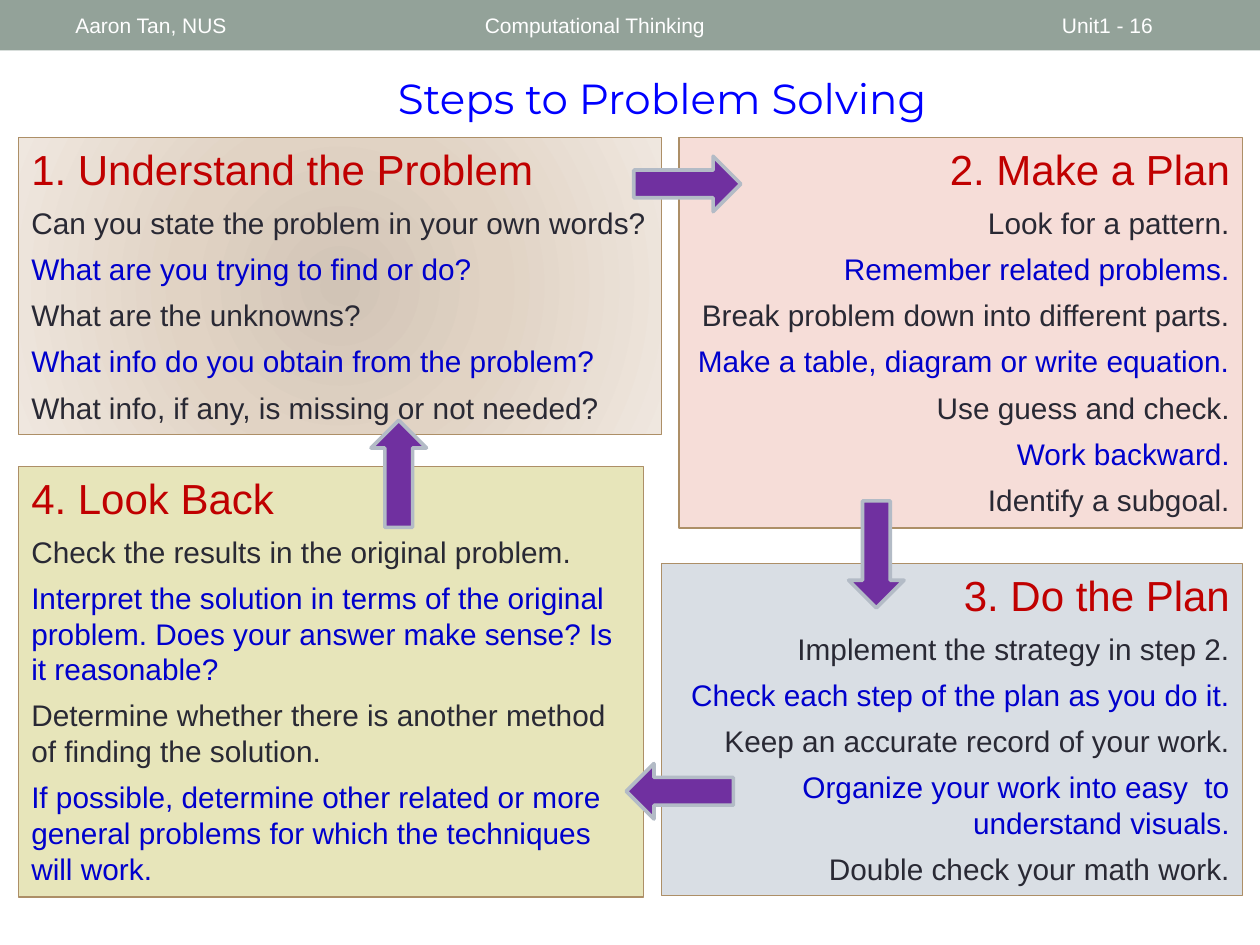
from pptx import Presentation
from pptx.dml.color import RGBColor
from pptx.enum.shapes import MSO_SHAPE
from pptx.enum.text import MSO_ANCHOR, MSO_AUTO_SIZE, PP_ALIGN
from pptx.oxml import parse_xml
from pptx.oxml.ns import nsdecls
from pptx.util import Inches, Pt

RECT, ARROW = MSO_SHAPE.RECTANGLE, MSO_SHAPE.RIGHT_ARROW
TOP, MIDDLE = MSO_ANCHOR.TOP, MSO_ANCHOR.MIDDLE
LEFT, CENTER, RIGHT = PP_ALIGN.LEFT, PP_ALIGN.CENTER, PP_ALIGN.RIGHT
GROW = MSO_AUTO_SIZE.SHAPE_TO_FIT_TEXT

THEME = {
    "bar": "93A299", "white": "FFFFFF", "title": "0000FF",
    "head": "C00000", "dark": "292934", "blue": "0000CC",
    "edge": "AD8F67", "arrow": "7030A0", "rim": "B3BBC6",
    "pink": "F6DDD8", "gray": "D9DEE4", "green": "E7E5BA",
    "glow": [(0, "D1C4B6"), (45, "E1D3C4"), (100, "EFE7DF")],
    "body": "Arial", "display": "Montserrat",
    "small": 12, "text": 17, "large": 24,
}


def add_box(kind, place, fill, line=None, width=0.75):
    box = slide.shapes.add_shape(kind, *map(Inches, place))
    box.shadow.inherit = False
    box.fill.solid()
    box.fill.fore_color.rgb = RGBColor.from_string(THEME[fill])
    if line:
        box.line.color.rgb = RGBColor.from_string(THEME[line])
        box.line.width = Pt(width)
    else:
        box.line.fill.background()
    return box


def set_text(para, text, size, color, align=LEFT, face="body"):
    para.text = text
    para.alignment = align
    para.font.name = THEME[face]
    para.font.size = Pt(THEME[size])
    para.font.color.rgb = RGBColor.from_string(THEME[color])


deck = Presentation()
deck.slide_width, deck.slide_height = Inches(10), Inches(7.5)
slide = deck.slides.add_slide(deck.slide_layouts[6])

add_box(RECT, (0, 0, 10, 0.4), "bar")
for left, width, text in [
    (3.75, 4.5, "Computational Thinking"),
    (8.33, 1.17, "Unit1 - 16"),
    (0.5, 3.17, "Aaron Tan, NUS"),
]:
    label = slide.shapes.add_textbox(Inches(left), Inches(0.02), Inches(width), Inches(0.36))
    frame = label.text_frame
    frame.word_wrap = True
    frame.vertical_anchor = MIDDLE
    set_text(frame.paragraphs[0], text, "small", "white")

panels = [
    ((0.15, 1.09, 5.1, 2.36), None, LEFT, [
        "1. Understand the Problem",
        "Can you state the problem in your own words?",
        "What are you trying to find or do?",
        "What are the unknowns?",
        "What info do you obtain from the problem?",
        "What info, if any, is missing or not needed?",
    ]),
    ((5.39, 1.09, 4.47, 3.1), "pink", RIGHT, [
        "2. Make a Plan",
        "Look for a pattern.",
        "Remember related problems.",
        "Break problem down into different parts.",
        "Make a table, diagram or write equation.",
        "Use guess and check.",
        "Work backward.",
        "Identify a subgoal.",
    ]),
    ((5.25, 4.47, 4.61, 2.64), "gray", RIGHT, [
        "3. Do the Plan",
        "Implement the strategy in step 2.",
        "Check each step of the plan as you do it.",
        "Keep an accurate record of your work.",
        "Organize your work into easy  to understand visuals.",
        "Double check your math work.",
    ]),
    ((0.15, 3.7, 4.96, 3.42), "green", LEFT, [
        "4. Look Back",
        "Check the results in the original problem.",
        "Interpret the solution in terms of the original problem. "
        "Does your answer make sense? Is it reasonable?",
        "Determine whether there is another method of finding the solution.",
        "If possible, determine other related or more general problems "
        "for which the techniques will work.",
    ]),
]
for place, fill, align, lines in panels:
    panel = add_box(RECT, place, fill or "white", "edge")
    if not fill:
        stops = "".join(
            f'<a:gs pos="{pos * 1000}"><a:srgbClr val="{color}"/></a:gs>'
            for pos, color in THEME["glow"]
        )
        glow = parse_xml(
            f'<a:gradFill {nsdecls("a")} rotWithShape="1"><a:gsLst>{stops}</a:gsLst>'
            '<a:path path="circle"><a:fillToRect l="100000" t="100000" r="100000" b="100000"/>'
            "</a:path></a:gradFill>"
        )
        props = panel.element.spPr
        props.replace(props.find("{*}solidFill"), glow)
    frame = panel.text_frame
    frame.word_wrap = True
    frame.auto_size = GROW
    frame.vertical_anchor = TOP
    for row, text in enumerate(lines):
        para = frame.add_paragraph() if row else frame.paragraphs[0]
        color = ("dark" if row % 2 else "blue") if row else "head"
        set_text(para, text, "text" if row else "large", color, align)
        para.space_after = Pt(6)

for turn, (left, top) in enumerate([(5.03, 1.24), (6.53, 4.18), (4.97, 6.06), (2.74, 3.54)]):
    arrow = add_box(ARROW, (left, top, 0.85, 0.44), "arrow", "rim", 2.08)
    arrow.rotation = 90 * turn

title = slide.shapes.add_textbox(Inches(2.83), Inches(0.53), Inches(4.85), Inches(0.5))
frame = title.text_frame
frame.word_wrap = True
frame.auto_size = GROW
set_text(frame.paragraphs[0], "Steps to Problem Solving", "large", "title", CENTER, "display")

deck.save("out.pptx")
